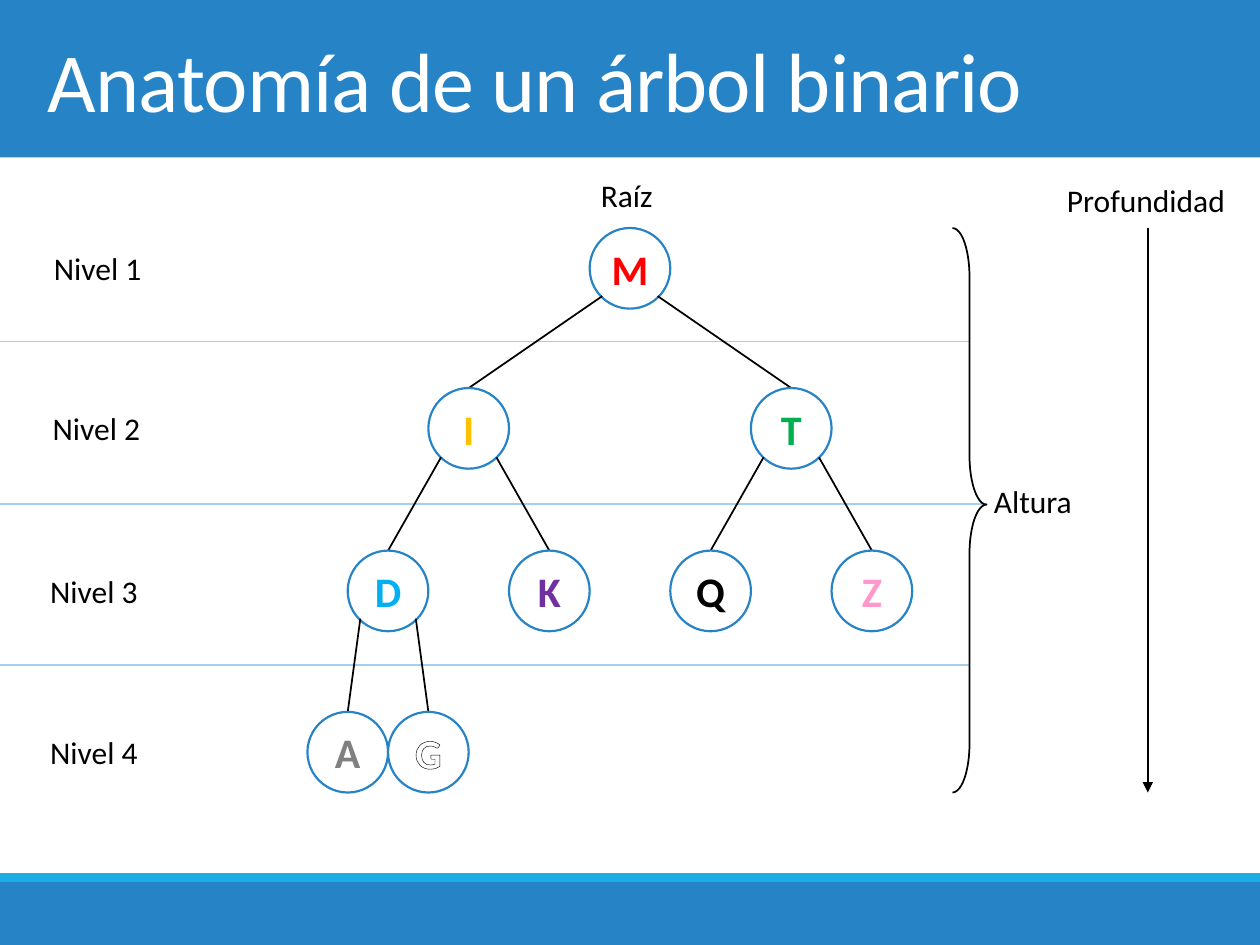
"""Builds a slide that shows the anatomy of a binary tree."""
from lxml import etree
from pptx import Presentation
from pptx.dml.color import RGBColor
from pptx.enum.shapes import MSO_CONNECTOR, MSO_SHAPE
from pptx.enum.text import MSO_ANCHOR, MSO_AUTO_SIZE, PP_ALIGN
from pptx.oxml.ns import qn
from pptx.util import Inches, Pt

RECT, OVAL, BRACE = MSO_SHAPE.RECTANGLE, MSO_SHAPE.OVAL, MSO_SHAPE.RIGHT_BRACE
STRAIGHT = MSO_CONNECTOR.STRAIGHT
MIDDLE = MSO_ANCHOR.MIDDLE
CENTER, LEFT = PP_ALIGN.CENTER, PP_ALIGN.LEFT
FIT, FIXED = MSO_AUTO_SIZE.SHAPE_TO_FIT_TEXT, MSO_AUTO_SIZE.NONE
BLUE, CYAN, PALE = "2683C6", "1CADE4", "A3CEED"
BLACK, WHITE = "000000", "FFFFFF"


def rgb(code):
    return RGBColor.from_string(code)


def grid(*cells):
    return [Inches(round(cell / 10, 2)) for cell in cells]


class Board:
    """Draws on one slide with a grid of 100 columns and 75 rows."""

    font = "Calibri"

    def __init__(self):
        self.deck = Presentation()
        self.deck.slide_width, self.deck.slide_height = grid(100, 75)
        self.slide = self.deck.slides.add_slide(self.deck.slide_layouts[5])
        self.shapes = self.slide.shapes

    def words(self, frame, text, size, color, align=LEFT, bold=False):
        frame.text = text
        para = frame.paragraphs[0]
        para.alignment = align
        font = para.font
        font.name, font.size, font.bold = self.font, Pt(size), bold
        font.color.rgb = rgb(color)
        return para.runs[0]._r.get_or_add_rPr()

    def title(self, text, *box):
        head = self.shapes.title
        head.left, head.top, head.width, head.height = grid(*box)
        frame = head.text_frame
        frame.auto_size, frame.vertical_anchor = FIXED, MIDDLE
        self.words(frame, text, 48, WHITE).set("spc", "-50")
        self.shapes._spTree.append(head._element)

    def shape(self, kind, *box, fill=None, line=None, width=1):
        item = self.shapes.add_shape(kind, *grid(*box))
        item.shadow.inherit = False
        if fill:
            item.fill.solid()
            item.fill.fore_color.rgb = rgb(fill)
        else:
            item.fill.background()
        if line:
            item.line.color.rgb = rgb(line)
            item.line.width = Pt(width)
        else:
            item.line.fill.background()
        return item

    def node(self, text, color, x, y, size):
        item = self.shape(OVAL, x - size / 2, y, size, size,
                          fill=WHITE, line=BLUE, width=1.25)
        frame = item.text_frame
        frame.word_wrap, frame.vertical_anchor = False, MIDDLE
        props = self.words(frame, text, 24, color, CENTER, True)
        if color == WHITE:
            edge = etree.Element(qn("a:ln"), w=str(Pt(0.75)))
            fill = etree.SubElement(edge, qn("a:solidFill"))
            etree.SubElement(fill, qn("a:srgbClr"), val=BLACK)
            props.insert(0, edge)

    def line(self, *ends, color=BLACK, arrow=False):
        item = self.shapes.add_connector(STRAIGHT, *grid(*ends))
        item.line.color.rgb = rgb(color)
        item.line.width = Pt(1)
        props = item._element.spPr
        if arrow:
            etree.SubElement(props.find(qn("a:ln")), qn("a:tailEnd"),
                             type="triangle")
        etree.SubElement(props, qn("a:effectLst"))

    def label(self, text, *box):
        frame = self.shapes.add_textbox(*grid(*box)).text_frame
        frame.word_wrap, frame.auto_size = False, FIT
        self.words(frame, text, 18, BLACK)


TOP, STEP, SIZE = 18.05, 12.8, 6.4
END = TOP + 3 * STEP + SIZE
TREE = {1: ("M", "FF0000"), 2: ("I", "FFC000"), 3: ("T", "00B050"),
        4: ("D", "00B0F0"), 5: ("K", "7030A0"), 6: ("Q", BLACK),
        7: ("Z", "FF99CC"), 8: ("A", "808080"), 9: ("G", WHITE)}


def grow(board, key, x, level):
    y = TOP + level * STEP
    board.node(*TREE[key], x, y, SIZE)
    for child, side in ((2 * key, -1), (2 * key + 1, 1)):
        if child in TREE:
            below = x + side * SIZE * 2 / 2 ** level
            board.line(x + side * SIZE * 0.35, y + SIZE * 0.85,
                       below, y + STEP)
            grow(board, child, below, level + 1)


board = Board()
for top, height, color in ((0, 12.5, BLUE), (70, 5, BLUE), (69.3, 0.7, CYAN)):
    board.shape(RECT, 0, top, 100, height, fill=color)
board.title("Anatomía de un árbol binario", 2.8, 0, 94.5, 12.5)
for level, right in enumerate((77, 78.3, 77)):
    y = 27.15 + level * STEP
    board.line(0, y, right, y, color=PALE)
grow(board, 1, 50, 0)
for level, left in enumerate((3.3, 3.2, 3, 3)):
    board.label(f"Nivel {level + 1}", left, 19.25 + level * STEP, 9, 4)
brace = board.shape(BRACE, 75.6, TOP, 2.7, END - TOP, line=BLACK)
brace.adjustments[0], brace.adjustments[1] = 1.44, 0.49
board.line(91.1, TOP, 91.1, END, arrow=True)
board.label("Raíz", 46.7, 13.5, 6.2, 4)
board.label("Altura", 77.9, 37.8, 8.3, 4)
board.label("Profundidad", 83.7, 13.9, 14.7, 4)
board.deck.save("out.pptx")
